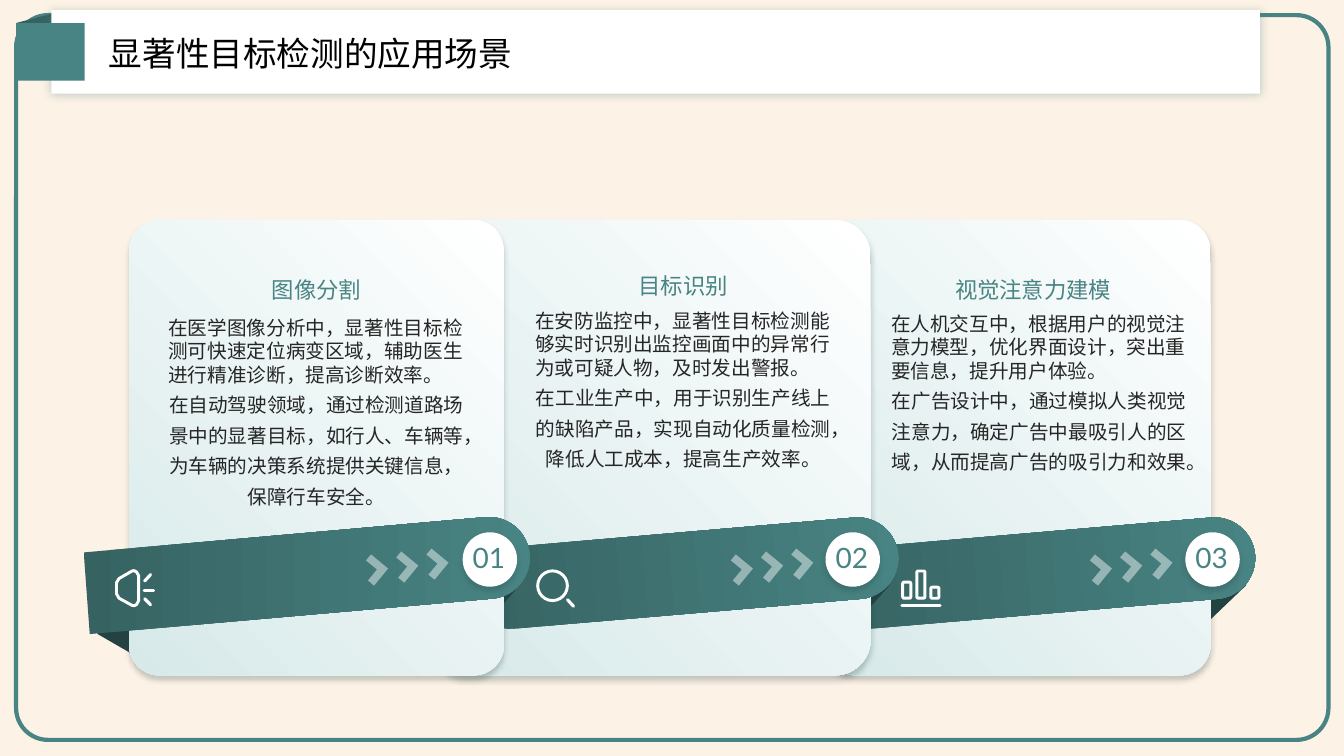
"""Build the slide on where salient object detection is applied."""
import math

from lxml import etree
from pptx import Presentation
from pptx.dml.color import RGBColor
from pptx.enum.shapes import MSO_CONNECTOR, MSO_SHAPE
from pptx.enum.text import MSO_ANCHOR, MSO_AUTO_SIZE, PP_ALIGN
from pptx.oxml.ns import qn
from pptx.util import Pt

RECT, ROUNDED, OVAL = MSO_SHAPE.RECTANGLE, MSO_SHAPE.ROUNDED_RECTANGLE, MSO_SHAPE.OVAL
TRIANGLE, STRAIGHT = MSO_SHAPE.ISOSCELES_TRIANGLE, MSO_CONNECTOR.STRAIGHT
LEFT, CENTER = PP_ALIGN.LEFT, PP_ALIGN.CENTER
TOP, MIDDLE, BOTTOM = MSO_ANCHOR.TOP, MSO_ANCHOR.MIDDLE, MSO_ANCHOR.BOTTOM
NO_AUTOFIT = MSO_AUTO_SIZE.NONE

COLORS = {
    "cream": "FCE5CB", "teal": "488483", "deep": "366362", "fold": "244242",
    "mist": "D7E9E9", "white": "FFFFFF", "ink": "262626", "black": "000000",
}
CJK, LATIN = "Noto Sans CJK SC", "Lato"
CARD_SHADOW = ("fold", 25, 4, 3, 90)
TILT = -4.9

prs = Presentation()
prs.slide_width, prs.slide_height = Pt(960), Pt(540)
slide = prs.slides.add_slide(prs.slide_layouts[5])
shapes = slide.shapes


def draw(form, box=None, fill=None, angle=0, alpha=None, line=None, weight=2.1,
         shadow=None, turn=0, corner=None):
    """Draw a preset in a box, or closed contours given as point lists."""
    if box:
        shape = shapes.add_shape(form, *map(Pt, box))
    else:
        contours = [[(Pt(x), Pt(y)) for x, y in contour] for contour in form]
        builder = shapes.build_freeform(*contours[0][0])
        builder.add_line_segments(contours[0][1:])
        for contour in contours[1:]:
            builder.move_to(*contour[0])
            builder.add_line_segments(contour[1:] + contour[:1])
        shape = builder.convert_to_shape()
    shape.rotation = turn
    if corner is not None:
        shape.adjustments[0] = corner
    if isinstance(fill, tuple):
        shape.fill.gradient()
        shape.fill.gradient_angle = angle
        for stop, color in zip(shape.fill.gradient_stops, fill):
            stop.color.rgb = RGBColor.from_string(COLORS[color])
    elif fill:
        shape.fill.solid()
        shape.fill.fore_color.rgb = RGBColor.from_string(COLORS[fill])
    else:
        shape.fill.background()
    if alpha:
        solid = shape.element.spPr.find(qn("a:solidFill"))
        etree.SubElement(solid[0], qn("a:alpha"), val=str(alpha * 1000))
    if line:
        shape.line.color.rgb = RGBColor.from_string(COLORS[line])
        shape.line.width = Pt(weight)
    else:
        shape.line.fill.background()
    shape.shadow.inherit = False
    if shadow:
        color, opacity, blur, distance, direction = shadow
        cast = etree.SubElement(
            shape.element.spPr.find(qn("a:effectLst")), qn("a:outerShdw"),
            blurRad=str(Pt(blur)), dist=str(Pt(distance)), dir=str(direction * 60000),
            algn="ctr", rotWithShape="0")
        tint = etree.SubElement(cast, qn("a:srgbClr"), val=COLORS[color])
        etree.SubElement(tint, qn("a:alpha"), val=str(opacity * 1000))


def write(text, box, size=16, color="teal", font=CJK, anchor=BOTTOM,
          aligns=(CENTER,), spacings=(1.1,), holder=None):
    """Write one paragraph per line of text into a placeholder or a new box."""
    holder = holder or shapes.add_textbox(0, 0, 0, 0)
    holder.left, holder.top, holder.width, holder.height = map(Pt, box)
    frame = holder.text_frame
    frame.word_wrap, frame.auto_size, frame.vertical_anchor = True, NO_AUTOFIT, anchor
    frame.margin_left = frame.margin_right = frame.margin_top = frame.margin_bottom = 0
    for index, (words, align, spacing) in enumerate(zip(text.split("\n"), aligns, spacings)):
        paragraph = frame.add_paragraph() if index else frame.paragraphs[0]
        paragraph.alignment, paragraph.line_spacing = align, spacing
        run = paragraph.add_run()
        run.text = words
        run.font.size, run.font.name = Pt(size), font
        run.font.color.rgb = RGBColor.from_string(COLORS[color])
        etree.SubElement(run.font._element, qn("a:ea"), typeface=font)


cap = [(349.2 + 29.2 * math.cos(math.radians(a + TILT)),
        398.5 + 29.2 * math.sin(math.radians(a + TILT))) for a in range(-90, 91, 5)]
first_ribbon = [[(64.1, 452.9), (59.8, 394.6)] + cap]
chevron = [(3.6, -4.3), (15.8, 5.8), (5.8, 18), (1.4, 14.4), (7.9, 6.5), (0, 0)]
megaphone = [[(83.2, 416.2), (85, 413.3), (94.3, 407.9), (95.8, 407.6), (97.6, 408.6),
              (99, 411.1), (99, 429.1), (97.6, 431.8), (95.8, 432.7), (94.3, 432.4),
              (85, 427.3), (83.2, 424.1)]]
bars = [(ROUNDED, (644.8 + 10.05 * i, 427.3 - tall, 5.8, tall))
        for i, tall in enumerate((11.5, 19.4, 7.9))]

scenes = [
    dict(number="03", heading="视觉注意力建模", heading_at=(632.2, 177.1),
         body="在人机交互中，根据用户的视觉注意力模型，优化界面设计，突出重要信息，提升用户体验。\n"
              "在广告设计中，通过模拟人类视觉注意力，确定广告中最吸引人的区域，从而提高广告的吸引力和效果。",
         body_at=(636.5, 222.5), card=(589, 275.8), fold=(861.1, 29.5),
         ribbon=589.7, badge=846.7, chevrons=778.5, icon=bars,
         strokes=[(644.2, 432.7, 671.5, 432.7)]),
    dict(number="02", heading="目标识别", heading_at=(382.3, 174.2),
         body="在安防监控中，显著性目标检测能够实时识别出监控画面中的异常行为或可疑人物，及时发出警报。\n"
              "在工业生产中，用于识别生产线上的缺陷产品，实现自动化质量检测，降低人工成本，提高生产效率。",
         body_at=(382.3, 220.3), card=(307.4, 314.6), fold=(610.6, 25.2),
         ribbon=334.8, badge=589.7, chevrons=522,
         icon=[(OVAL, (384.1, 407.8, 21.2, 21.2))],
         strokes=[(405.4, 428.4, 409.7, 433.1)]),
    dict(number="01", heading="图像分割", heading_at=(120.2, 177.1),
         body="在医学图像分析中，显著性目标检测可快速定位病变区域，辅助医生进行精准诊断，提高诊断效率。\n"
              "在自动驾驶领域，通过检测道路场景中的显著目标，如行人、车辆等，为车辆的决策系统提供关键信息，保障行车安全。",
         body_at=(120.2, 225.4), card=(92.2, 267.8), fold=(346.3, 25.2),
         ribbon=None, badge=330.5, chevrons=261.4, icon=[(megaphone, None)],
         strokes=[(103.3, 427.7, 107.6, 432), (103, 421.6, 109.8, 421.6),
                  (103.3, 415.1, 107.6, 410.4)]),
]

draw(RECT, (0, 0, 960, 540), fill="cream", alpha=48)
draw(ROUNDED, (11.5, 10.8, 937.4, 517.7), line="teal", weight=3, corner=0.044)
draw(TRIANGLE, (72.7, 439.9, 32.4, 22.3), fill="fold", turn=30)

for scene in scenes:
    fold_x, fold_width = scene["fold"]
    draw([[(fold_x, 428.4), (fold_x + fold_width, 417.6), (fold_x + 1.8, 444.2)]], fill="fold")
    card_x, card_width = scene["card"]
    draw(ROUNDED, (card_x, 157, card_width, 325.4), fill=("white", "mist"), angle=225,
         shadow=CARD_SHADOW, corner=0.081)
    if scene["ribbon"]:
        draw(ROUNDED, (scene["ribbon"], 380.2, 307.4, 58.3), fill=("deep", "teal"),
             turn=TILT, corner=0.5)
    else:
        draw(first_ribbon, fill=("deep", "teal"))
    draw(OVAL, (scene["badge"], 380.2, 38.9, 38.9), fill="white", shadow=CARD_SHADOW)
    write(scene["heading"], (*scene["heading_at"], 211.7, 39.6))
    write(scene["body"], (*scene["body_at"], 211.7, 142), size=14, color="ink", anchor=TOP,
          aligns=(LEFT, CENTER), spacings=(1.0, 1.3))
    write(scene["number"], (scene["badge"] - 11.5, 370.8, 60.5, 39.6), size=20, font=LATIN)
    for form, box in scene["icon"]:
        draw(form, box, line="white")
    for x1, y1, x2, y2 in scene["strokes"]:
        stroke = shapes.add_connector(STRAIGHT, Pt(x1), Pt(y1), Pt(x2), Pt(y2))
        stroke.line.color.rgb = RGBColor.from_string(COLORS["white"])
        stroke.line.width = Pt(2.2)
        stroke.line._ln.set("cap", "rnd")
        etree.SubElement(stroke.element.spPr, qn("a:effectLst"))
    draw([[(scene["chevrons"] + 21.6 * i + x, 400.3 - 2.1 * i + y) for x, y in chevron]
          for i in range(3)], fill="white", alpha=45)

draw(RECT, (15.8, 11.5, 33.8, 33.8), fill="deep", turn=-14.6)
draw(RECT, (36.7, 7.2, 863.3, 59.8), fill="white", shadow=("teal", 36, 7, 0, 0))
draw(RECT, (11.5, 16.6, 49, 41), fill="teal")
title = shapes.title
write("显著性目标检测的应用场景", (77.8, 17.3, 612.7, 38.9), size=24, color="black",
      anchor=MIDDLE, aligns=(LEFT,), holder=title)
title.element.getparent().append(title.element)

prs.save("out.pptx")
